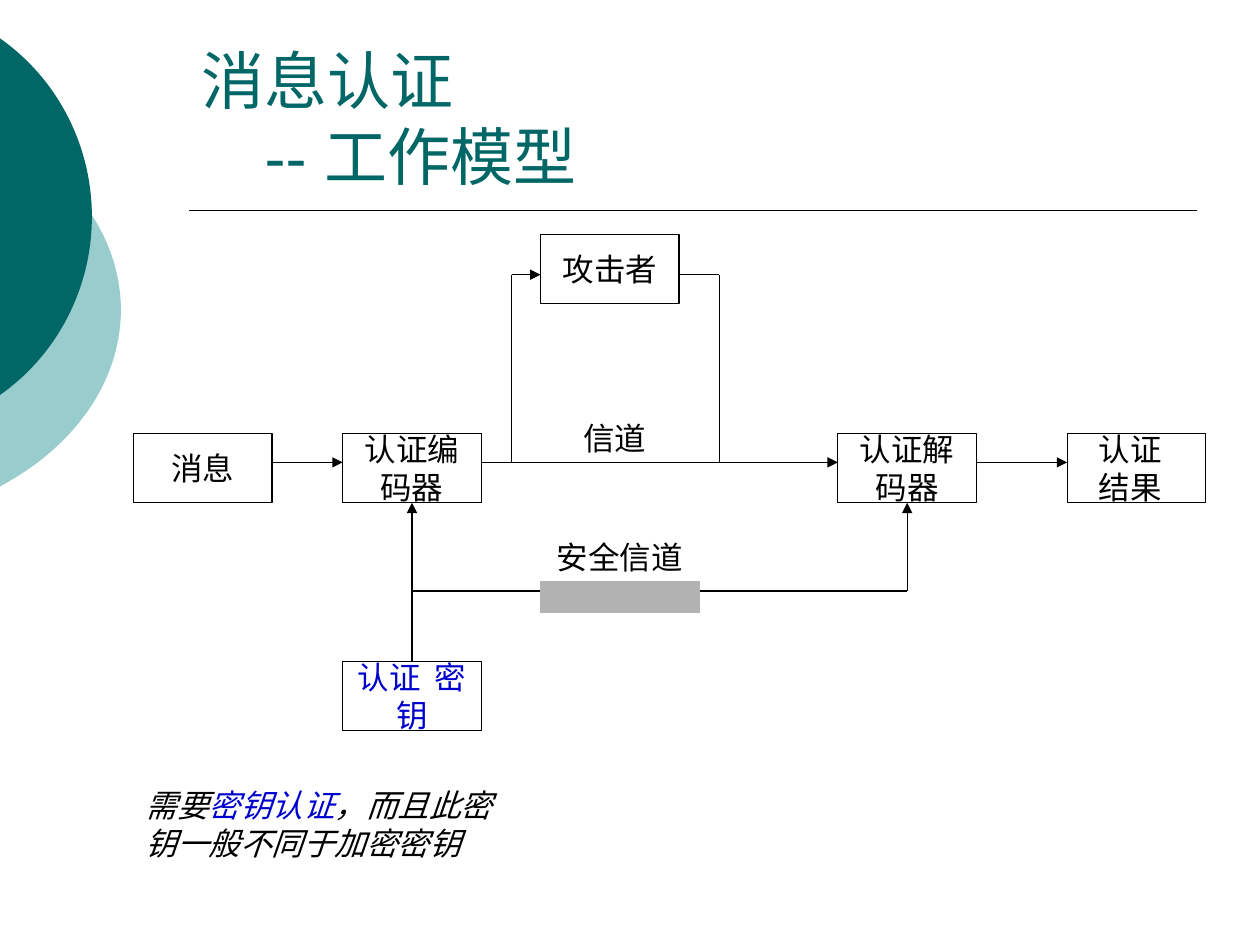
import math
from dataclasses import dataclass
from typing import Optional

import pptx
import pptx.dml.color
import pptx.enum.shapes
import pptx.enum.text
import pptx.oxml.ns
import pptx.util
from lxml import etree

Inches = pptx.util.Inches
RGBColor = pptx.dml.color.RGBColor
PP_ALIGN = pptx.enum.text.PP_ALIGN
MSO_ANCHOR = pptx.enum.text.MSO_ANCHOR

BLACK = RGBColor(0x00, 0x00, 0x00)
WHITE = RGBColor(0xFF, 0xFF, 0xFF)
TEAL = RGBColor(0x00, 0x66, 0x66)
PALE_TEAL = RGBColor(0x99, 0xCC, 0xCC)
BLUE = RGBColor(0x00, 0x00, 0xCC)
GRAY = RGBColor(0xB2, 0xB2, 0xB2)

BOX_W, BOX_H = 1.1, 0.55
ROW_Y, CHANNEL_Y, SECURE_Y, TAP_Y = 3.44, 3.67, 4.69, 2.18
KEY_X, DECODER_X = 3.27, 7.2
TAP_LEFT, TAP_RIGHT = 4.06, 5.71
ARC_STEPS = 60


@dataclass
class Disc:
    cx: float
    cy: float
    rx: float
    ry: float
    color: RGBColor


@dataclass
class Box:
    name: str
    text: str
    x: float
    y: float
    color: RGBColor = BLACK
    align: PP_ALIGN = PP_ALIGN.CENTER
    inset: float = 0.1


@dataclass
class Link:
    x1: float
    y1: float
    x2: float
    y2: float
    arrow: bool = False
    source: Optional[str] = None
    target: Optional[str] = None


@dataclass
class Label:
    runs: list
    x: float
    y: float
    w: float
    h: float = 0.4
    align: PP_ALIGN = PP_ALIGN.CENTER
    italic: bool = False


DISCS = [
    Disc(-1.29, 2.46, 2.25, 1.71, PALE_TEAL),
    Disc(-0.96, 1.72, 1.69, 1.72, TEAL),
]
BOXES = [
    Box("message", "消息", 1.06, ROW_Y),
    Box("encoder", "认证编码器", 2.72, ROW_Y),
    Box("attacker", "攻击者", 4.29, 1.86),
    Box("key", "认证  密钥", 2.72, 5.25, color=BLUE),
    Box("decoder", "认证解码器", 6.65, ROW_Y),
    Box("result", "认证结果", 8.47, ROW_Y, align=PP_ALIGN.LEFT, inset=0.25),
]
LINKS = [
    Link(2.16, CHANNEL_Y, 2.72, CHANNEL_Y, arrow=True),
    Link(KEY_X, 5.25, KEY_X, 3.99, arrow=True, source="key", target="encoder"),
    Link(3.82, CHANNEL_Y, 6.65, CHANNEL_Y, arrow=True),
    Link(7.75, CHANNEL_Y, 8.47, CHANNEL_Y, arrow=True),
    Link(DECODER_X, SECURE_Y, DECODER_X, 3.99, arrow=True, target="decoder"),
    Link(TAP_LEFT, TAP_Y, 4.29, TAP_Y, arrow=True),
    Link(TAP_LEFT, TAP_Y, TAP_LEFT, CHANNEL_Y),
    Link(5.39, TAP_Y, TAP_RIGHT, TAP_Y),
    Link(TAP_RIGHT, TAP_Y, TAP_RIGHT, CHANNEL_Y),
    Link(KEY_X, SECURE_Y, 4.29, SECURE_Y),
    Link(5.55, SECURE_Y, DECODER_X, SECURE_Y),
]
LABELS = [
    Label([("安全信道", BLACK)], 4.29, 4.22, 1.26),
    Label([("信道", BLACK)], 4.37, 3.28, 1.02),
    Label(
        [("需要", BLACK), ("密钥认证", BLUE), ("，而且此密钥一般不同于加密密钥", BLACK)],
        1.06, 6.19, 2.99, h=0.7, align=PP_ALIGN.LEFT, italic=True,
    ),
]


def add_text(p, text: str, *, size=18, font="DejaVu Sans", color=BLACK, italic=None):
    r = p.add_run()
    r.text = text
    r.font.size = pptx.util.Pt(size)
    r.font.name = font
    r.font.italic = italic
    r.font.color.rgb = color


def add_disc(s, disc: Disc) -> None:
    limit = math.acos(-disc.cx / disc.rx)
    angles = [limit * (2 * i / ARC_STEPS - 1) for i in range(ARC_STEPS + 1)]
    points = [
        (Inches(disc.cx + disc.rx * math.cos(a)), Inches(disc.cy + disc.ry * math.sin(a)))
        for a in angles
    ]
    fb = s.shapes.build_freeform(*points[0])
    fb.add_line_segments(points[1:], close=True)
    sp = fb.convert_to_shape()
    sp.shadow.inherit = False
    sp.fill.solid()
    sp.fill.fore_color.rgb = disc.color
    sp.line.fill.background()


def add_rect(s, x: float, y: float, w: float, h: float, fill: RGBColor, line: RGBColor):
    sp = s.shapes.add_shape(
        pptx.enum.shapes.MSO_SHAPE.RECTANGLE, Inches(x), Inches(y), Inches(w), Inches(h)
    )
    sp.shadow.inherit = False
    sp.fill.solid()
    sp.fill.fore_color.rgb = fill
    sp.line.color.rgb = line
    sp.line.width = pptx.util.Pt(0.75)
    return sp


def add_box(s, box: Box):
    sp = add_rect(s, box.x, box.y, BOX_W, BOX_H, WHITE, BLACK)
    tf = sp.text_frame
    tf.word_wrap = True
    tf.vertical_anchor = MSO_ANCHOR.MIDDLE
    tf.margin_left = tf.margin_right = Inches(box.inset)
    tf.margin_top = tf.margin_bottom = 0
    p = tf.paragraphs[0]
    p.alignment = box.align
    add_text(p, box.text, color=box.color)
    return sp


def add_link(s, link: Link, boxes: dict, width: float = 0.75) -> None:
    cn = s.shapes.add_connector(
        pptx.enum.shapes.MSO_CONNECTOR.STRAIGHT,
        Inches(link.x1), Inches(link.y1), Inches(link.x2), Inches(link.y2),
    )
    cn.line.color.rgb = BLACK
    cn.line.width = pptx.util.Pt(width)
    if link.source:
        cn.begin_connect(boxes[link.source], 0)
    if link.target:
        cn.end_connect(boxes[link.target], 2)
    if link.arrow:
        ln = cn.line._get_or_add_ln()
        etree.SubElement(ln, pptx.oxml.ns.qn("a:tailEnd"), type="triangle")
    etree.SubElement(cn._element.spPr, pptx.oxml.ns.qn("a:effectLst"))


def add_label(s, label: Label) -> None:
    tb = s.shapes.add_textbox(
        Inches(label.x), Inches(label.y), Inches(label.w), Inches(label.h)
    )
    tf = tb.text_frame
    tf.word_wrap = True
    p = tf.paragraphs[0]
    p.alignment = label.align
    for text, color in label.runs:
        add_text(p, text, color=color, italic=label.italic or None)


def add_title(s) -> None:
    title = s.shapes.title
    title.left, title.top = Inches(1.5), Inches(0.33)
    title.width, title.height = Inches(8), Inches(1.25)
    tf = title.text_frame
    tf.auto_size = pptx.enum.text.MSO_AUTO_SIZE.NONE
    tf.vertical_anchor = MSO_ANCHOR.BOTTOM
    p = tf.paragraphs[0]
    p.alignment = PP_ALIGN.LEFT
    add_text(p, "消息认证", size=36, font="Arial", color=TEAL)
    p.add_line_break()
    add_text(p, "\t-- 工作模型", size=36, font="Arial", color=TEAL)


def main() -> None:
    prs = pptx.Presentation()
    prs.slide_width, prs.slide_height = Inches(10), Inches(7.5)
    s = prs.slides.add_slide(prs.slide_layouts[5])
    for disc in DISCS:
        add_disc(s, disc)
    add_link(s, Link(1.5, 1.67, 9.5, 1.67), {}, width=1)
    add_title(s)
    boxes = {box.name: add_box(s, box) for box in BOXES}
    for link in LINKS:
        add_link(s, link, boxes)
    add_rect(s, 4.29, 4.62, 1.26, 0.24, GRAY, GRAY)
    for label in LABELS:
        add_label(s, label)
    prs.save("out.pptx")


if __name__ == "__main__":
    main()
